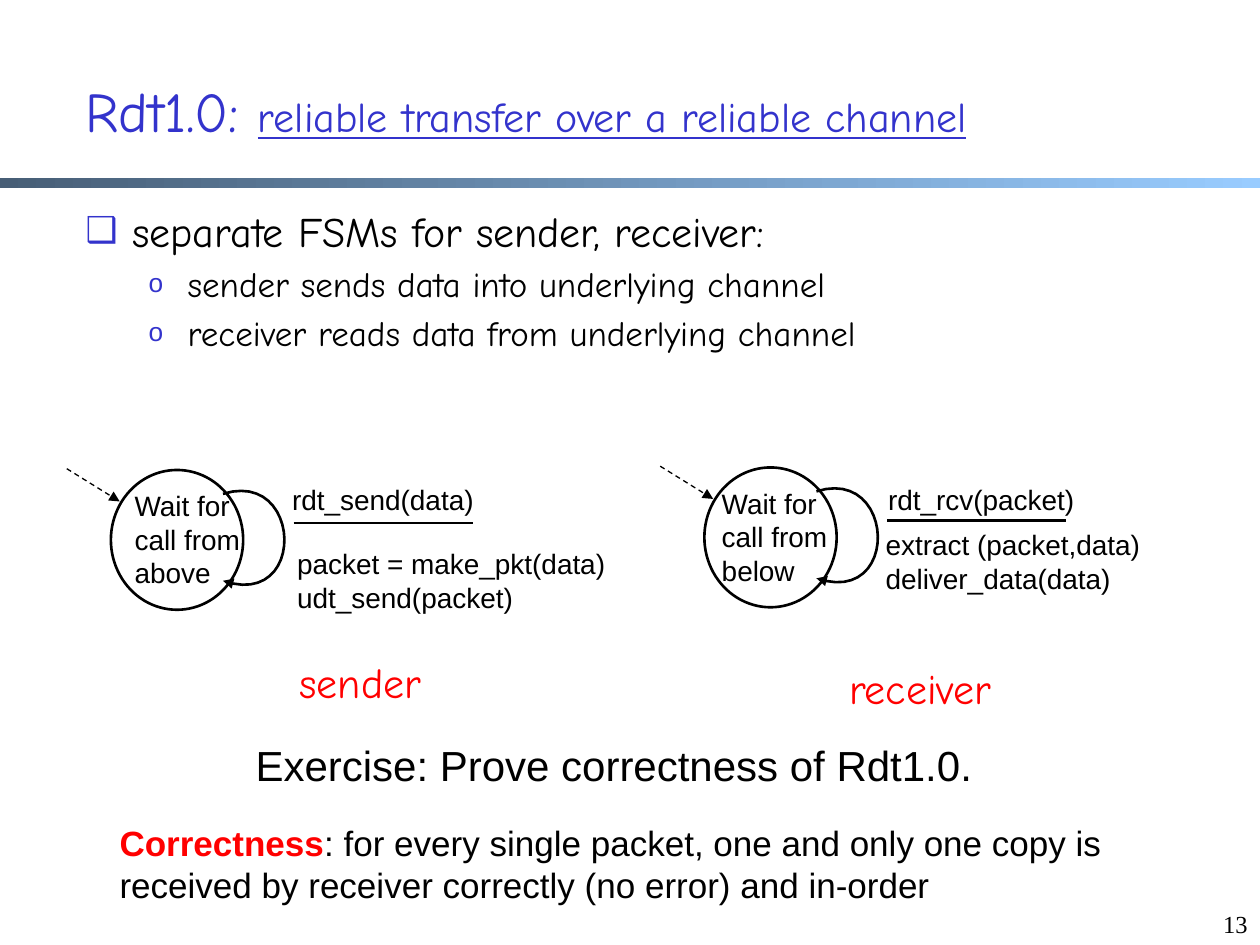
from lxml.etree import SubElement
from pptx import Presentation
from pptx.dml.color import RGBColor
from pptx.enum.dml import MSO_LINE_DASH_STYLE as DASH
from pptx.enum.shapes import MSO_CONNECTOR, MSO_SHAPE
from pptx.enum.text import MSO_ANCHOR, MSO_AUTO_SIZE, PP_ALIGN
from pptx.oxml.ns import qn
from pptx.util import Inches, Pt

BLACK, BLUE, RED, WHITE = "000000", "3333CC", "FF0000", "FFFFFF"
HAND, SANS, SERIF = "Comic Neue", "Arial", "Times New Roman"

TITLE = [("Rdt1.0: ", 32, False), ("reliable transfer over a reliable channel", 24, True)]
# level, text
BODY = [
    (0, "separate FSMs for sender, receiver:"),
    (1, "sender sends data into underlying channel"),
    (1, "receiver reads data from underlying channel"),
]
# bullet, bullet size %, left margin, hanging indent, text size, space before
LEVELS = [("❑", 85, 0.37, 0.37, 24, 0), ("o", 75, 0.81, 0.31, 20, 4)]

# Each machine: offset from the sender, then labels as (text, box, size, font, colour)
MACHINES = [
    ((0, 0), [
        ("Wait for call from above", (0.97, 3.83, 1.2, 1), 16, SANS, BLACK),
        ("rdt_send(data)", (2.22, 3.78, 2.47, 0.47), 16, SANS, BLACK),
        ("packet = make_pkt(data)\nudt_send(packet)", (2.26, 4.29, 2.93, 0.65), 16, SANS, BLACK),
        ("sender", (2.28, 5.16, 1.26, 0.5), 24, HAND, RED),
    ]),
    ((4.71, -0.02), [
        ("Wait for call from below", (5.63, 3.81, 1.2, 1), 16, SANS, BLACK),
        ("rdt_rcv(packet)", (6.95, 3.78, 1.69, 0.37), 16, SANS, BLACK),
        ("extract (packet,data)\ndeliver_data(data)", (6.93, 4.14, 2.72, 0.65), 16, SANS, BLACK),
        ("receiver", (6.64, 5.21, 1.49, 0.5), 24, HAND, RED),
    ]),
]
STATE = (0.88, 3.73, 1.05, 1.11)
LOOP = [(1.77, 3.92), (2.4, 3.72), (2.44, 4.84), (1.77, 4.61)]
RULE = [(2.33, 4.15), (3.75, 4.15)]
ENTRY = [(0.53, 3.72), (0.95, 3.98)]

EXERCISE = "Exercise: Prove correctness of Rdt1.0."
CORRECTNESS = [
    ("Correctness", RED, True),
    (": for every single packet, one and only one copy is received by receiver "
     "correctly (no error) and in-order", BLACK, False),
]


def rgb(color):
    return RGBColor.from_string(color)


def style(font, size, name, color):
    font.size, font.name = Pt(size), name
    font.color.rgb = rgb(color)


def place(shape, box):
    shape.left, shape.top, shape.width, shape.height = map(Inches, box)


def add_text(text, box, size, name, color):
    tf = s.shapes.add_textbox(*map(Inches, box)).text_frame
    tf.word_wrap = True
    tf.text = text
    for p in tf.paragraphs:
        for r in p.runs:
            style(r.font, size, name, color)
    return tf


def outline(shape, width, arrow=False):
    shape.line.color.rgb = rgb(BLACK)
    shape.line.width = Pt(width)
    if arrow:
        SubElement(shape.line._get_or_add_ln(), qn("a:tailEnd"), type="triangle")


def add_line(points, width, arrow=False):
    (x1, y1), (x2, y2) = points
    line = s.shapes.add_connector(MSO_CONNECTOR.STRAIGHT, *map(Inches, (x1, y1, x2, y2)))
    outline(line, width, arrow)
    SubElement(line._element.spPr, qn("a:effectLst"))
    return line


def bezier(points, steps=24):
    """Points along a cubic Bezier curve."""
    for i in range(steps + 1):
        t = i / steps
        weights = ((1 - t) ** 3, 3 * t * (1 - t) ** 2, 3 * t * t * (1 - t), t ** 3)
        yield tuple(sum(w * p[axis] for w, p in zip(weights, points)) for axis in (0, 1))


def add_loop(points):
    start, *rest = [(Inches(x), Inches(y)) for x, y in bezier(points)]
    builder = s.shapes.build_freeform(*start)
    builder.add_line_segments(rest, close=False)
    loop = builder.convert_to_shape()
    loop.shadow.inherit = False
    loop.fill.background()
    outline(loop, 1.5, arrow=True)


def add_machine(offset, labels):
    dx, dy = offset

    def shift(points):
        return [(x + dx, y + dy) for x, y in points]

    x, y, w, h = STATE
    state = s.shapes.add_shape(MSO_SHAPE.OVAL, *map(Inches, (x + dx, y + dy, w, h)))
    state.shadow.inherit = False
    state.fill.solid()
    state.fill.fore_color.rgb = rgb(WHITE)
    outline(state, 1.5)
    add_loop(shift(LOOP))
    add_line(shift(RULE), 1.5)
    add_line(shift(ENTRY), 0.75, arrow=True).line.dash_style = DASH.DASH
    for label in labels:
        add_text(*label)


def add_bullet(p, char, percent, margin, hang):
    pPr = p._p.get_or_add_pPr()
    pPr.set("marL", str(Inches(margin)))
    pPr.set("indent", str(-Inches(hang)))
    SubElement(SubElement(pPr, qn("a:buClr")), qn("a:srgbClr"), val=BLUE)
    SubElement(pPr, qn("a:buSzPct"), val=str(percent * 1000))
    SubElement(pPr, qn("a:buFont"), typeface=SANS)
    SubElement(pPr, qn("a:buChar"), char=char)


prs = Presentation()
prs.slide_width, prs.slide_height = Inches(10), Inches(7.5)
s = prs.slides.add_slide(prs.slide_layouts[1])

bar = s.shapes.add_shape(MSO_SHAPE.RECTANGLE, *map(Inches, (0, 1.41, 10, 0.08)))
bar.shadow.inherit = False
bar.line.fill.background()
bar.fill.gradient()
bar.fill.gradient_angle = 0
for stop, color, position in zip(bar.fill.gradient_stops, ("475E76", "99CCFF"), (0, 1)):
    stop.color.rgb = rgb(color)
    stop.position = position

title = s.shapes.title
place(title, (0.58, 0.25, 8.75, 1.25))
tf = title.text_frame
tf.auto_size = MSO_AUTO_SIZE.NONE
tf.vertical_anchor = MSO_ANCHOR.MIDDLE
p = tf.paragraphs[0]
p.alignment = PP_ALIGN.LEFT
for text, size, underline in TITLE:
    r = p.add_run()
    r.text = text
    style(r.font, size, HAND, BLUE)
    r.font.underline = underline

body = s.placeholders[1]
place(body, (0.58, 1.58, 8.64, 1.43))
tf = body.text_frame
tf.auto_size = MSO_AUTO_SIZE.NONE
tf.text = "\n".join(text for _, text in BODY)
for p, (level, _) in zip(tf.paragraphs, BODY):
    char, percent, margin, hang, size, before = LEVELS[level]
    p.level = level
    p.space_before = Pt(before)
    add_bullet(p, char, percent, margin, hang)
    style(p.runs[0].font, size, HAND, BLACK)

for machine in MACHINES:
    add_machine(*machine)

add_text(EXERCISE, (1.93, 5.82, 5.94, 0.5), 24, SANS, BLACK)

p = add_text("", (0.85, 6.47, 8.49, 0.77), 20, SANS, BLACK).paragraphs[0]
for text, color, bold in CORRECTNESS:
    r = p.add_run()
    r.text = text
    style(r.font, 20, SANS, color)
    r.font.bold = bold

tf = add_text("13", (7.67, 7, 2.33, 0.5), 14, SERIF, BLACK)
tf.vertical_anchor = MSO_ANCHOR.BOTTOM
tf.paragraphs[0].alignment = PP_ALIGN.RIGHT

prs.save("out.pptx")
